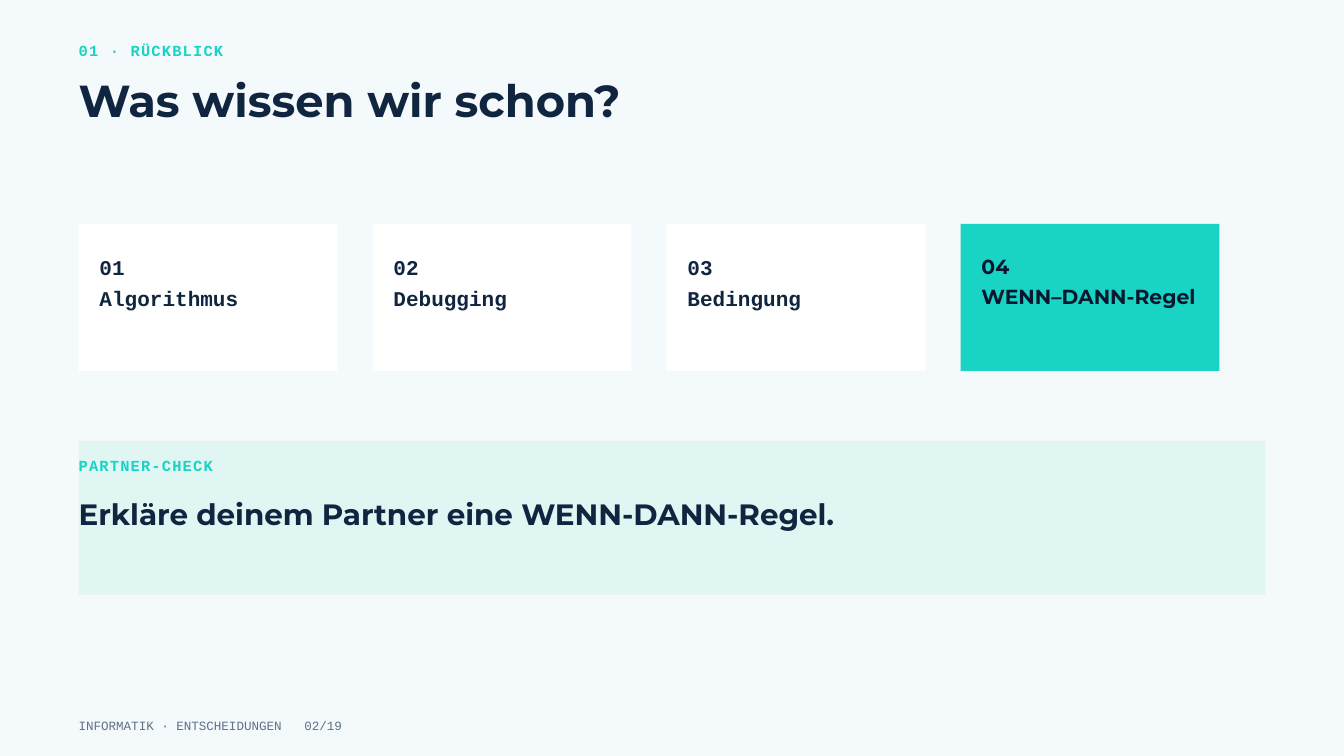
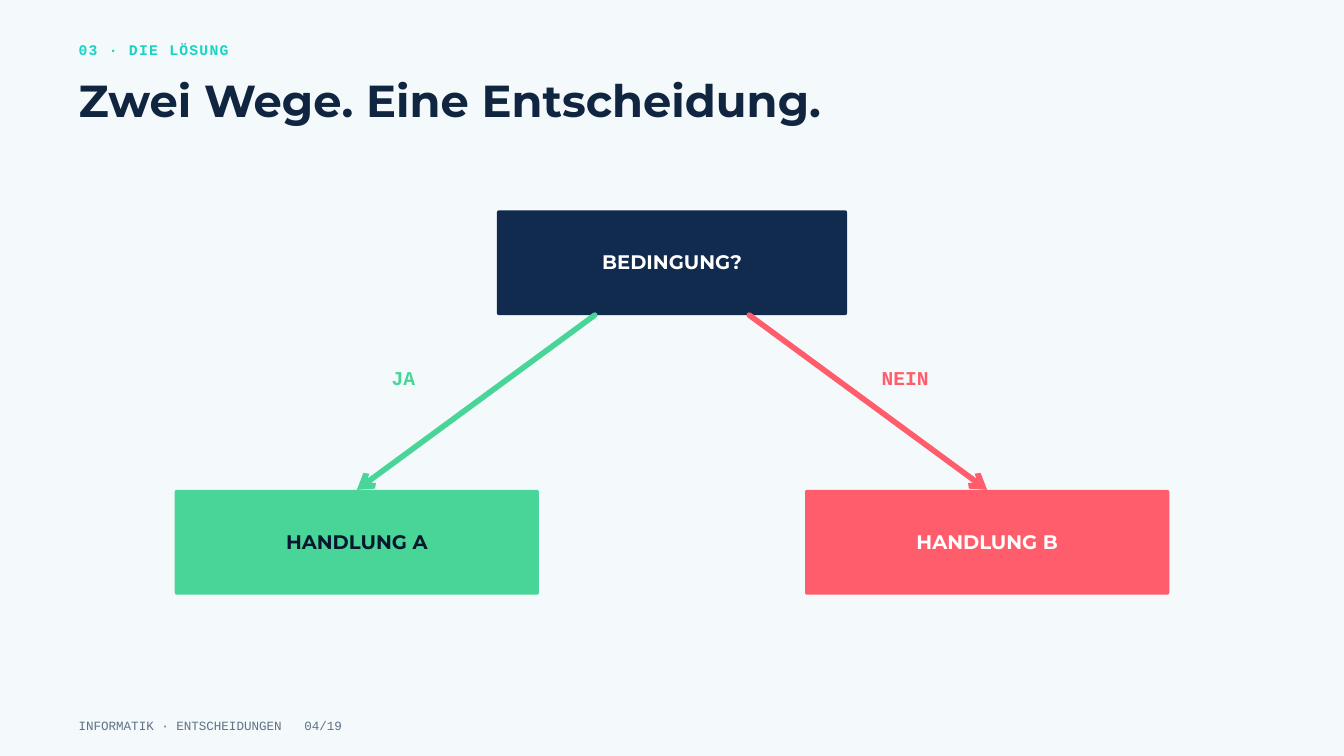
import pptx
import pptx.dml.color
import pptx.enum.shapes
import pptx.enum.text
import pptx.oxml.ns
import pptx.util
from lxml import etree

Inches = pptx.util.Inches
Pt = pptx.util.Pt
RGBColor = pptx.dml.color.RGBColor
MSO_SHAPE = pptx.enum.shapes.MSO_SHAPE
MSO_ANCHOR = pptx.enum.text.MSO_ANCHOR
PP_ALIGN = pptx.enum.text.PP_ALIGN
qn = pptx.oxml.ns.qn

BACKGROUND = RGBColor(0xF4, 0xF9, 0xFB)
WHITE = RGBColor(0xFF, 0xFF, 0xFF)
INK = RGBColor(0x10, 0x25, 0x3F)
DARK = RGBColor(0x07, 0x18, 0x2E)
NAVY = RGBColor(0x10, 0x2B, 0x4E)
TURQUOISE = RGBColor(0x19, 0xD3, 0xC5)
MINT = RGBColor(0xDF, 0xF6, 0xF3)
GREEN = RGBColor(0x48, 0xD5, 0x97)
RED = RGBColor(0xFF, 0x5D, 0x6C)
GREY = RGBColor(0x5F, 0x71, 0x86)

SANS = "Montserrat"
MONO = "Courier New"

# Font attributes per text role
EYEBROW = {"name": MONO, "size": Pt(16.5), "bold": True}
TITLE = {"name": SANS, "size": Pt(48), "bold": True}
CARD = {"name": MONO, "size": Pt(22.5), "bold": True}
CARD_ACTIVE = {"name": SANS, "size": Pt(21.8), "bold": True}
TASK = {"name": SANS, "size": Pt(31.5), "bold": True}
NODE = {"name": SANS, "size": Pt(21), "bold": True}
BRANCH = {"name": MONO, "size": Pt(21), "bold": True}
FOOTER = {"name": MONO, "size": Pt(13.5), "bold": False}

SLIDE_W, SLIDE_H = 20, 11.25
MARGIN = 1.17
CONTENT_W = SLIDE_W - 2 * MARGIN
CARD_PITCH = 17.5 / 4
BRANCH_TOP, BRANCH_BOTTOM = 4.69, 7.29
NODE_H = 1.56


def write(frame, lines, style, color, leading=1.4, align=PP_ALIGN.LEFT, tracking=None):
    """Fill a text frame with one paragraph per line; leading is a multiple of the size."""
    frame.word_wrap = True
    for number, line in enumerate(lines):
        paragraph = frame.add_paragraph() if number else frame.paragraphs[0]
        paragraph.alignment = align
        paragraph.line_spacing = Pt(round(style["size"].pt * leading, 1))
        run = paragraph.add_run()
        run.text = line
        for attribute, value in style.items():
            setattr(run.font, attribute, value)
        run.font.color.rgb = color
        if tracking:
            run.font._element.set("spc", str(round(tracking * 100)))


def set_insets(frame, horizontal, vertical):
    for side in ("left", "right"):
        setattr(frame, f"margin_{side}", Inches(horizontal))
    for side in ("top", "bottom"):
        setattr(frame, f"margin_{side}", Inches(vertical))


def add_label(slide, box, text, style, color, **layout):
    frame = slide.shapes.add_textbox(*map(Inches, box)).text_frame
    set_insets(frame, 0, 0)
    frame.auto_size = pptx.enum.text.MSO_AUTO_SIZE.SHAPE_TO_FIT_TEXT
    write(frame, [text], style, color, **layout)
    return frame


def add_panel(slide, box, fill, kind=MSO_SHAPE.RECTANGLE):
    panel = slide.shapes.add_shape(kind, *map(Inches, box))
    panel.shadow.inherit = False
    panel.fill.solid()
    panel.fill.fore_color.rgb = fill
    panel.line.fill.background()
    return panel


def add_card(slide, left, lines, style, fill, color):
    card = add_panel(slide, (left, 3.33, 3.85, 2.19), fill)
    set_insets(card.text_frame, 0.31, 0.36)
    card.text_frame.vertical_anchor = MSO_ANCHOR.TOP
    write(card.text_frame, lines, style, color, leading=1.5)


def add_node(slide, left, top, width, text, fill, color):
    node = add_panel(slide, (left, top, width, NODE_H), fill, MSO_SHAPE.ROUNDED_RECTANGLE)
    node.adjustments[0] = 0.02
    set_insets(node.text_frame, 0.06, 0.06)
    node.text_frame.vertical_anchor = MSO_ANCHOR.MIDDLE
    write(node.text_frame, [text], NODE, color, leading=1.1, align=PP_ALIGN.CENTER)


def add_branch(slide, start_x, end_x, color):
    """Thick round-capped arrow from the condition down to an action."""
    ends = (start_x, BRANCH_TOP, end_x, BRANCH_BOTTOM)
    arrow = slide.shapes.add_connector(
        pptx.enum.shapes.MSO_CONNECTOR.STRAIGHT, *map(Inches, ends))
    arrow.line.color.rgb = color
    arrow.line.width = Pt(6)
    properties = arrow._element.spPr
    line = properties.find(qn("a:ln"))
    line.set("cap", "rnd")
    etree.SubElement(line, qn("a:tailEnd"), type="arrow")
    etree.SubElement(properties, qn("a:effectLst"))


def add_footer(slide, page):
    frame = add_label(slide, (MARGIN, 10.64, 7.29, 0.25),
                      f"INFORMATIK · ENTSCHEIDUNGEN\t{page:02}/19", FOOTER, GREY)
    tabs = etree.SubElement(frame.paragraphs[0]._p.get_or_add_pPr(), qn("a:tabLst"))
    etree.SubElement(tabs, qn("a:tab"), pos=str(Inches(3.36)), algn="l")


def start_slide(deck, eyebrow, title, page, eyebrow_style=EYEBROW):
    slide = deck.slides.add_slide(deck.slide_layouts[6])
    add_label(slide, (MARGIN, 0.56, 2.29, 0.31), eyebrow, eyebrow_style, TURQUOISE, tracking=1.3)
    add_label(slide, (MARGIN, 1.16, 15.62, 0.73), title, TITLE, INK, leading=1.08)
    add_footer(slide, page)
    return slide


def build_review(deck):
    slide = start_slide(deck, "01 · RÜCKBLICK", "Was wissen wir schon?", 2)
    topics = ["Algorithmus", "Debugging", "Bedingung", "WENN–DANN-Regel"]
    for index, topic in enumerate(topics):
        active = index == len(topics) - 1
        look = (CARD_ACTIVE, TURQUOISE, DARK) if active else (CARD, WHITE, INK)
        add_card(slide, MARGIN + index * CARD_PITCH, [f"{index + 1:02}", topic], *look)

    add_panel(slide, (MARGIN, 6.56, CONTENT_W, 2.29), MINT)
    add_label(slide, (MARGIN, 6.74, 3.12, 0.3), "PARTNER-CHECK", EYEBROW, TURQUOISE, tracking=1.3)
    add_label(slide, (MARGIN, 7.29, 14.58, 0.57),
              "Erkläre deinem Partner eine WENN-DANN-Regel.", TASK, INK)


def build_decision(deck):
    slide = start_slide(deck, "03 · DIE LÖSUNG", "Zwei Wege. Eine Entscheidung.", 4,
                        {**EYEBROW, "size": Pt(15.8)})
    center = SLIDE_W / 2
    condition_w, action_w = 5.21, 5.42
    add_node(slide, center - condition_w / 2, BRANCH_TOP - NODE_H, condition_w,
             "BEDINGUNG?", NAVY, WHITE)
    branches = [
        (-1, "HANDLUNG A", GREEN, DARK, "JA", 5.83, 1.04),
        (1, "HANDLUNG B", RED, WHITE, "NEIN", 13.12, 1.25),
    ]
    for side, action, color, text_color, answer, answer_left, answer_w in branches:
        action_center = center + side * 4.69
        add_node(slide, action_center - action_w / 2, BRANCH_BOTTOM, action_w,
                 action, color, text_color)
        add_branch(slide, center + side * 1.15, action_center, color)
        add_label(slide, (answer_left, 5.38, answer_w, 0.39), answer, BRANCH, color)


def main():
    deck = pptx.Presentation()
    deck.slide_width = Inches(SLIDE_W)
    deck.slide_height = Inches(SLIDE_H)
    backdrop = deck.slide_master.background.fill
    backdrop.solid()
    backdrop.fore_color.rgb = BACKGROUND
    build_review(deck)
    build_decision(deck)
    deck.save("out.pptx")


if __name__ == "__main__":
    main()
